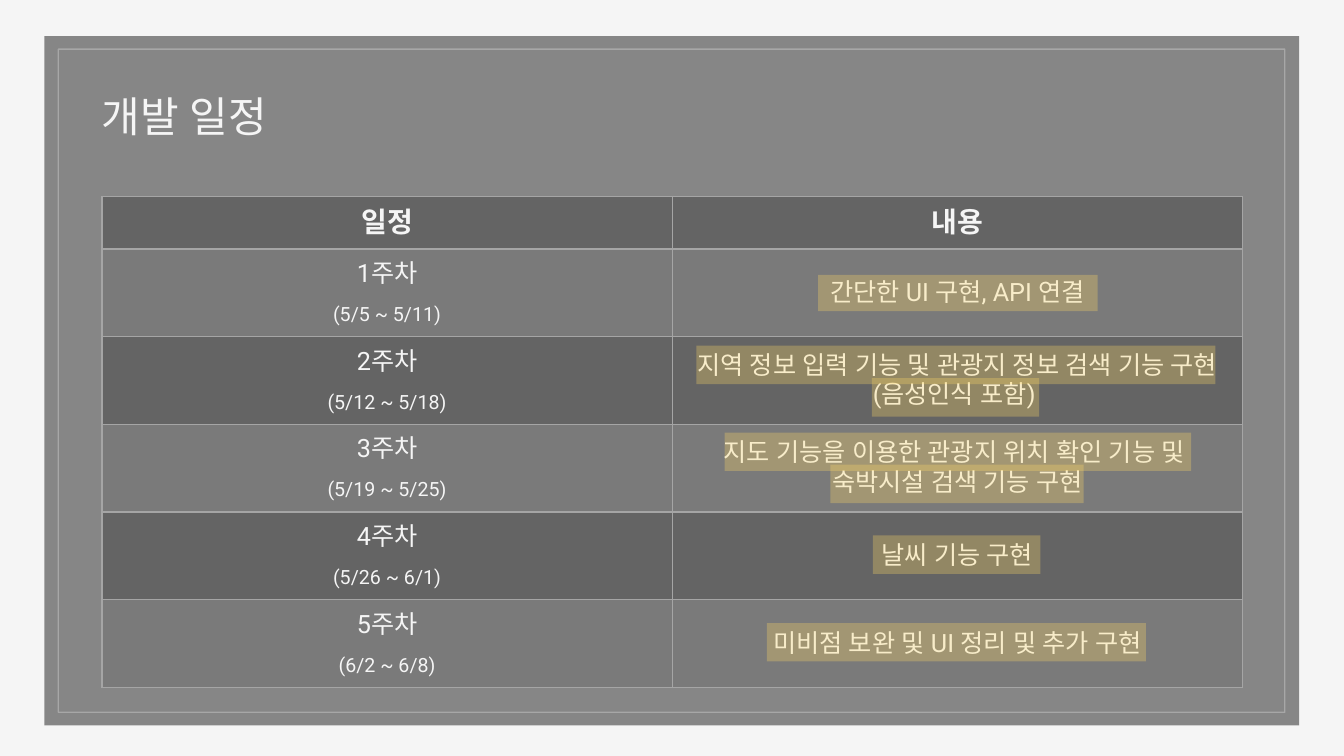
"""Build the development schedule slide."""
import lxml.etree
import pptx
import pptx.dml.color
import pptx.enum.shapes
import pptx.enum.text
import pptx.oxml.ns
import pptx.util

Cm, Pt = pptx.util.Cm, pptx.util.Pt
RGBColor = pptx.dml.color.RGBColor
PP_ALIGN, MSO_ANCHOR = pptx.enum.text.PP_ALIGN, pptx.enum.text.MSO_ANCHOR
qn = pptx.oxml.ns.qn

LIGHT = RGBColor(0xF5, 0xF5, 0xF5)
DARK = RGBColor(0x18, 0x18, 0x18)
GRAY = RGBColor(0xA5, 0xA5, 0xA5)
YELLOW = RGBColor(0xFF, 0xD9, 0x66)

SCHEDULE = [
    ("(5/5 ~ 5/11)", ["간단한 UI 구현, API 연결"]),
    ("(5/12 ~ 5/18)", ["지역 정보 입력 기능 및 관광지 정보 검색 기능 구현", "(음성인식 포함) "]),
    ("(5/19 ~ 5/25)", ["지도 기능을 이용한 관광지 위치 확인 기능 및 ", "숙박시설 검색 기능 구현"]),
    ("(5/26 ~ 6/1)", ["날씨 기능 구현"]),
    ("(6/2 ~ 6/8)", ["미비점 보완 및 UI 정리 및 추가 구현"]),
]
HIGHLIGHTS = [
    (20.62, 6.93, 7.04, 0.91),
    (17.55, 8.71, 13.08, 0.97),
    (18.26, 10.9, 11.76, 0.97),
    (22, 13.49, 4.22, 0.97),
    (21.97, 9.53, 4.22, 0.97),
    (20.93, 11.71, 6.38, 0.97),
    (19.33, 15.7, 9.55, 0.97),
]


class Deck:
    def __init__(self):
        self.prs = pptx.Presentation()
        self.prs.slide_width, self.prs.slide_height = Cm(33.87), Cm(19.05)
        self.font = {"name": "Roboto", "bold": False}
        self.s = self.prs.slides.add_slide(self.prs.slide_layouts[6])
        self.s.background.fill.solid()
        self.s.background.fill.fore_color.rgb = LIGHT

    def paint(self, fill, element, color, percent):
        fill.solid()
        fill.fore_color.rgb = color
        clr = element.find(qn("a:solidFill")).find(qn("a:srgbClr"))
        lxml.etree.SubElement(clr, qn("a:alpha"), val=str(percent * 1000))

    def rect(self, box, color, percent, outline=False):
        sp = self.s.shapes.add_shape(
            pptx.enum.shapes.MSO_SHAPE.RECTANGLE, *map(Cm, box))
        sp.shadow.inherit = False
        spPr = sp._element.spPr
        if outline:
            sp.fill.background()
            sp.line.width = Pt(1)
            self.paint(sp.line.fill, spPr.find(qn("a:ln")), color, percent)
        else:
            sp.line.fill.background()
            self.paint(sp.fill, spPr, color, percent)

    def add_lines(self, tf, lines, align):
        for i, (text, size, bold, gap) in enumerate(lines):
            p = tf.add_paragraph() if i else tf.paragraphs[0]
            p.alignment = align
            p.space_before = Pt(gap)
            r = p.add_run()
            r.text = text
            for key, value in {**self.font, "size": Pt(size), "bold": bold}.items():
                setattr(r.font, key, value)
            r.font.color.rgb = LIGHT
            rPr = r._r.get_or_add_rPr()
            lxml.etree.SubElement(rPr, qn("a:ea"), typeface=self.font["name"])

    def text(self, box, text, size):
        tf = self.s.shapes.add_textbox(*map(Cm, box)).text_frame
        margins = dict.fromkeys(
            ("margin_left", "margin_top", "margin_right", "margin_bottom"), 0)
        style = {**margins, "word_wrap": True, "vertical_anchor": MSO_ANCHOR.MIDDLE}
        for key, value in style.items():
            setattr(tf, key, value)
        self.add_lines(tf, [(text, size, False, 0)], PP_ALIGN.LEFT)

    def borders(self, tcPr, bottom):
        for side, width in zip("LRTB", (1, 1, 1, bottom)):
            ln = lxml.etree.SubElement(tcPr, qn(f"a:ln{side}"), w=str(int(Pt(width))))
            fill = lxml.etree.SubElement(ln, qn("a:solidFill"))
            lxml.etree.SubElement(fill, qn("a:srgbClr"), val=str(GRAY))

    def table(self, box, rows, heights):
        cols = len(rows[0])
        table = self.s.shapes.add_table(len(rows), cols, *map(Cm, box)).table
        table.horz_banding = False
        for i, row in enumerate(rows):
            table.rows[i].height = Cm(heights[i])
            for j, lines in enumerate(row):
                cell = table.cell(i, j)
                cell.vertical_anchor = MSO_ANCHOR.MIDDLE
                tcPr = cell._tc.get_or_add_tcPr()
                self.borders(tcPr, 1 if i else 2)
                self.paint(cell.fill, tcPr, DARK, 10 if i % 2 else 30)
                self.add_lines(cell.text_frame, lines, PP_ALIGN.CENTER)


def main():
    deck = Deck()
    deck.rect((1.12, 0.91, 31.62, 17.37), DARK, 50)
    rows = [[[(title, 20, True, 0)] for title in ("일정", "내용")]]
    for week, (dates, tasks) in enumerate(SCHEDULE, 1):
        rows.append([
            [(f"{week}주차", 18, False, 0), (dates, 14, False, 10.5)],
            [(task, 18, False, 0) for task in tasks],
        ])
    deck.table((2.57, 4.95, 28.74, 12.37), rows, [1.32] + [2.21] * len(SCHEDULE))
    for box in HIGHLIGHTS:
        deck.rect(box, YELLOW, 30)
    deck.text((2.57, 2.29, 8.79, 1.27), "개발 일정", 30)
    deck.rect((1.47, 1.24, 30.91, 16.71), LIGHT, 30, outline=True)
    deck.prs.save("out.pptx")


if __name__ == "__main__":
    main()
